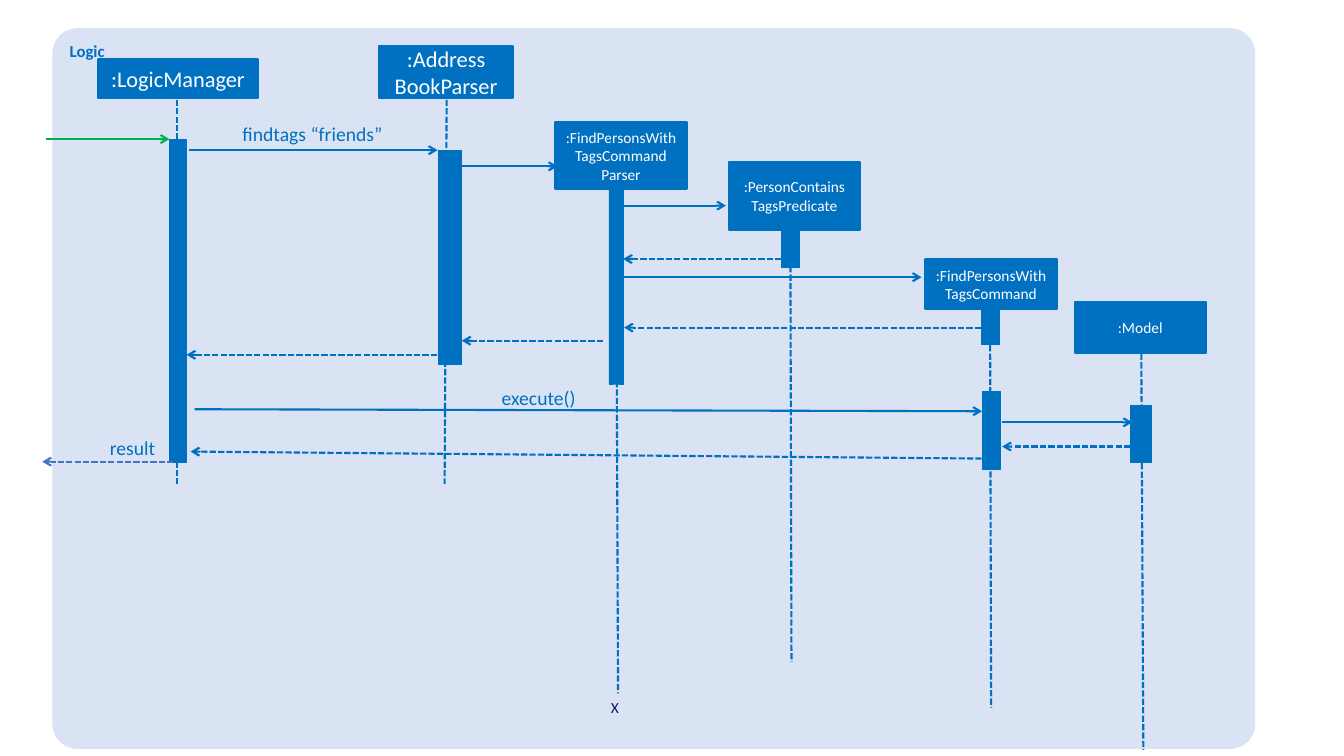
from dataclasses import dataclass

from lxml.etree import SubElement
from pptx import Presentation
from pptx.dml.color import RGBColor
from pptx.enum.dml import MSO_LINE
from pptx.enum.shapes import MSO_CONNECTOR, MSO_SHAPE
from pptx.enum.text import MSO_ANCHOR, MSO_AUTO_SIZE, PP_ALIGN
from pptx.oxml.ns import qn
from pptx.util import Inches, Pt


@dataclass(frozen=True)
class Theme:
    """Colours, font, type sizes and line widths of the diagram."""
    panel: str = "DAE3F3"
    blue: str = "0070C0"
    call: str = "00B050"
    result: str = "4472C4"
    end_mark: str = "002060"
    white: str = "FFFFFF"
    font: str = "Calibri"
    large: int = 16
    label: int = 14
    title: int = 12
    small: int = 11
    stroke: float = 1.5
    thin: float = 0.5


@dataclass(frozen=True)
class Grid:
    """A region of the slide, divided into square cells."""
    left: float = 0
    top: float = 0
    cell: float = 0.1

    def point(self, column, row):
        """Return the slide position of a grid point."""
        return Inches(self.left + column * self.cell), Inches(self.top + row * self.cell)

    def box(self, column, row, columns, rows):
        """Return the slide box of a block of cells."""
        return (*self.point(column, row), Inches(columns * self.cell), Inches(rows * self.cell))


THEME = Theme()

PARTICIPANTS = [
    (":LogicManager", THEME.large, (9.7, 5.9, 15.9, 3.8),
     (17.6, 9.9, 17.6, 48), [(16.8, 13.8, 1.7, 32.1)]),
    (":Address\nBookParser", THEME.large, (37.6, 4.6, 13.3, 5.1),
     (44.3, 9.9, 44.1, 48), [(43.5, 14.9, 2.3, 21.3)]),
    (":FindPersonsWithTagsCommand\nParser", THEME.small, (55.1, 12.1, 13, 6.7),
     (61.1, 18.6, 61.3, 68.8), [(60.4, 18.6, 1.4, 19.5)]),
    (":PersonContains\nTagsPredicate", THEME.small, (72.3, 16.1, 13, 6.7),
     (78.4, 26.4, 78.5, 65.7), [(77.5, 23, 1.8, 3.5)]),
    (":FindPersonsWithTagsCommand", THEME.small, (91.8, 25.7, 13, 5),
     (98.2, 30.9, 98.3, 70.2), [(97.3, 30.7, 1.8, 3.5), (97.4, 38.8, 1.8, 7.8)]),
    (":Model", THEME.small, (106.6, 30, 13, 5),
     (113.2, 35.1, 113.4, 74.4), [(112.1, 40.2, 2.1, 5.7)]),
]

CALLS = [
    (18.7, 14.9, 43.4, 14.9),
    (45.2, 16.5, 55.3, 16.5),
    (61.9, 20.4, 72, 20.4),
    (61.9, 27.5, 91.4, 27.5),
    (19.3, 40.6, 97.4, 40.8),
    (99.4, 41.9, 112.3, 41.9),
]

RETURNS = [
    (77.5, 25.7, 61.8, 25.7),
    (97.3, 32.5, 61.9, 32.5),
    (59.8, 33.8, 45.8, 33.8),
    (44.2, 35.2, 18.5, 35.2),
    (112.1, 44.3, 99.4, 44.3),
    (98.2, 45.5, 18.9, 44.8),
]

LABELS = [
    ("findtags “friends”", (20.6, 12.1, 20.8, 2.4), PP_ALIGN.CENTER),
    ("execute()", (47.7, 38.3, 9.4, 2.4), PP_ALIGN.RIGHT),
    ("result", (7.1, 43.2, 8.3, 2.4), PP_ALIGN.RIGHT),
]


def write(shape, text, size=THEME.label, color=THEME.blue, bold=False,
          align=PP_ALIGN.LEFT, anchor=MSO_ANCHOR.TOP, inset=None, grow=False):
    """Put text into a shape, one paragraph for each line."""
    frame = shape.text_frame
    frame.word_wrap = True
    frame.vertical_anchor = anchor
    if grow:
        frame.auto_size = MSO_AUTO_SIZE.SHAPE_TO_FIT_TEXT
    if inset is not None:
        frame.margin_left = frame.margin_right = inset
        frame.margin_top = frame.margin_bottom = inset
    for index, line in enumerate(text.split("\n")):
        paragraph = frame.add_paragraph() if index else frame.paragraphs[0]
        paragraph.alignment = align
        run = paragraph.add_run()
        run.text = line
        run.font.name = THEME.font
        run.font.size = Pt(size)
        run.font.bold = bold
        run.font.color.rgb = RGBColor.from_string(color)


def add_block(slide, box, fill=THEME.blue, stroke=None, kind=MSO_SHAPE.RECTANGLE):
    """Add a filled shape, outlined in its own colour if a stroke is given."""
    block = slide.shapes.add_shape(kind, *box)
    block.shadow.inherit = False
    block.fill.solid()
    block.fill.fore_color.rgb = RGBColor.from_string(fill)
    if stroke is None:
        block.line.fill.background()
    else:
        block.line.color.rgb = RGBColor.from_string(fill)
        block.line.width = Pt(stroke)
    return block


def add_line(slide, grid, ends, color=THEME.blue, dashed=False, arrow=True):
    """Add a straight line between two grid points."""
    line = slide.shapes.add_connector(
        MSO_CONNECTOR.STRAIGHT, *grid.point(*ends[:2]), *grid.point(*ends[2:]))
    line.line.color.rgb = RGBColor.from_string(color)
    line.line.width = Pt(THEME.stroke)
    if dashed:
        line.line.dash_style = MSO_LINE.SQUARE_DOT
    properties = line._element.spPr
    if arrow:
        SubElement(properties.find(qn("a:ln")), qn("a:tailEnd"), type="arrow")
    SubElement(properties, qn("a:effectLst"))


def add_panel(slide, grid):
    """Add the rounded Logic panel."""
    panel = add_block(slide, grid.box(5.2, 2.8, 119.3, 71.5), THEME.panel,
                      kind=MSO_SHAPE.ROUNDED_RECTANGLE)
    panel.adjustments[0] = 0.035
    write(panel, "Logic", size=THEME.title, bold=True)


def add_participant(slide, grid, name, size, header, lifeline, activations):
    """Add a participant with its lifeline, activation bars and header."""
    add_line(slide, grid, lifeline, dashed=True, arrow=False)
    for activation in activations:
        add_block(slide, grid.box(*activation), stroke=THEME.thin)
    heading = add_block(slide, grid.box(*header), stroke=THEME.stroke)
    write(heading, name, size=size, color=THEME.white,
          align=PP_ALIGN.CENTER, anchor=MSO_ANCHOR.MIDDLE)


def add_messages(slide, grid):
    """Add the calls, the returns and their labels."""
    add_line(slide, grid, (4.6, 13.8, 16.8, 13.8), THEME.call)
    add_line(slide, grid, (17.2, 45.8, 4.2, 45.8), THEME.result, dashed=True)
    for ends in CALLS:
        add_line(slide, grid, ends)
    for ends in RETURNS:
        add_line(slide, grid, ends, dashed=True)
    for text, box, align in LABELS:
        label = slide.shapes.add_textbox(*grid.box(*box))
        write(label, text, align=align, inset=0, grow=True)
    end_mark = slide.shapes.add_textbox(*grid.box(59.6, 68.8, 3.4, 2.9))
    write(end_mark, "X", size=THEME.small, color=THEME.end_mark, grow=True)


def add_sequence_diagram(slide, grid):
    """Add the whole sequence diagram."""
    add_panel(slide, grid)
    for participant in PARTICIPANTS:
        add_participant(slide, grid, *participant)
    add_messages(slide, grid)


def main():
    """Build and save the presentation."""
    deck = Presentation()
    deck.slide_width, deck.slide_height = Inches(13.33), Inches(7.5)
    slide = deck.slides.add_slide(deck.slide_layouts[6])
    add_sequence_diagram(slide, Grid())
    deck.save("out.pptx")


if __name__ == "__main__":
    main()
